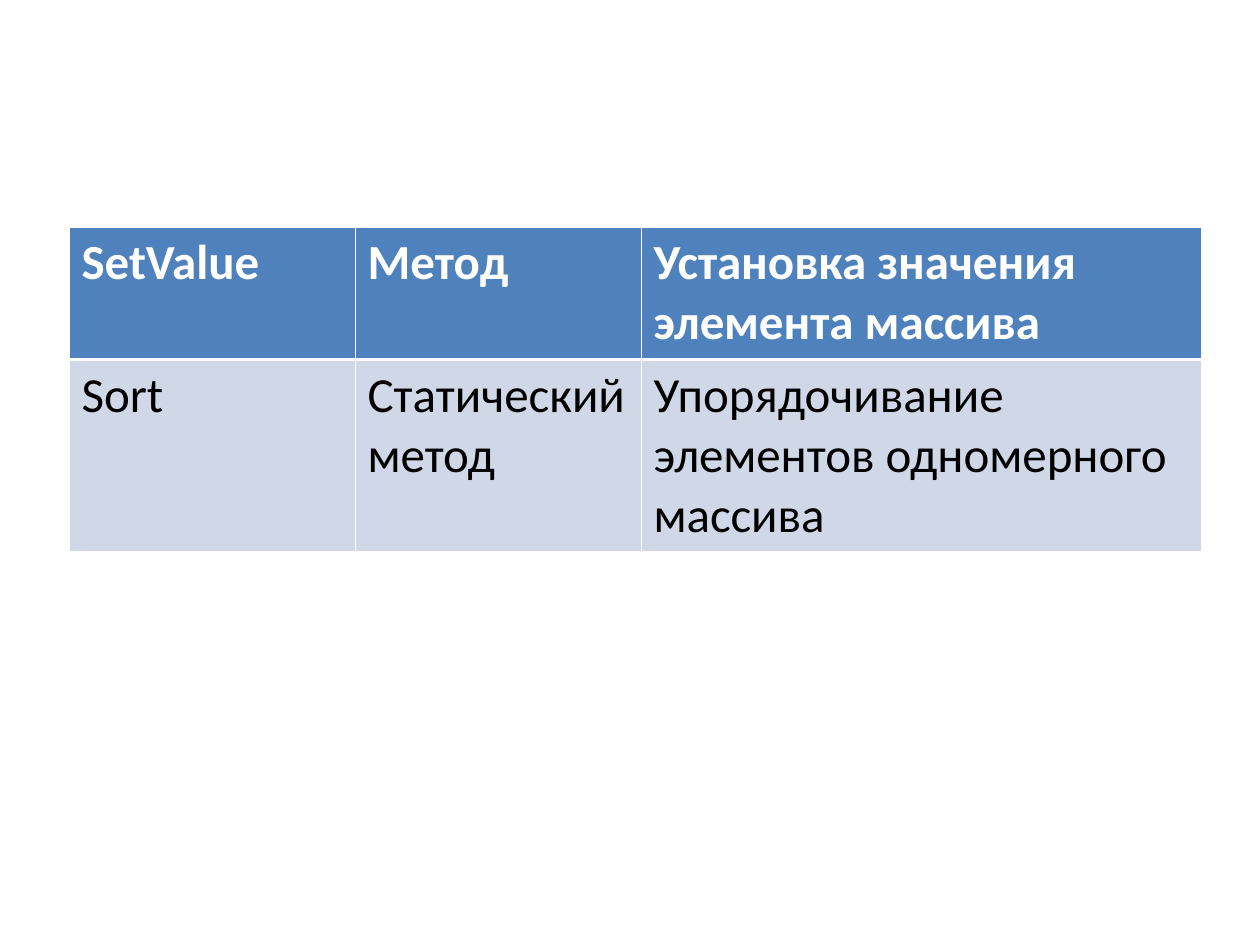
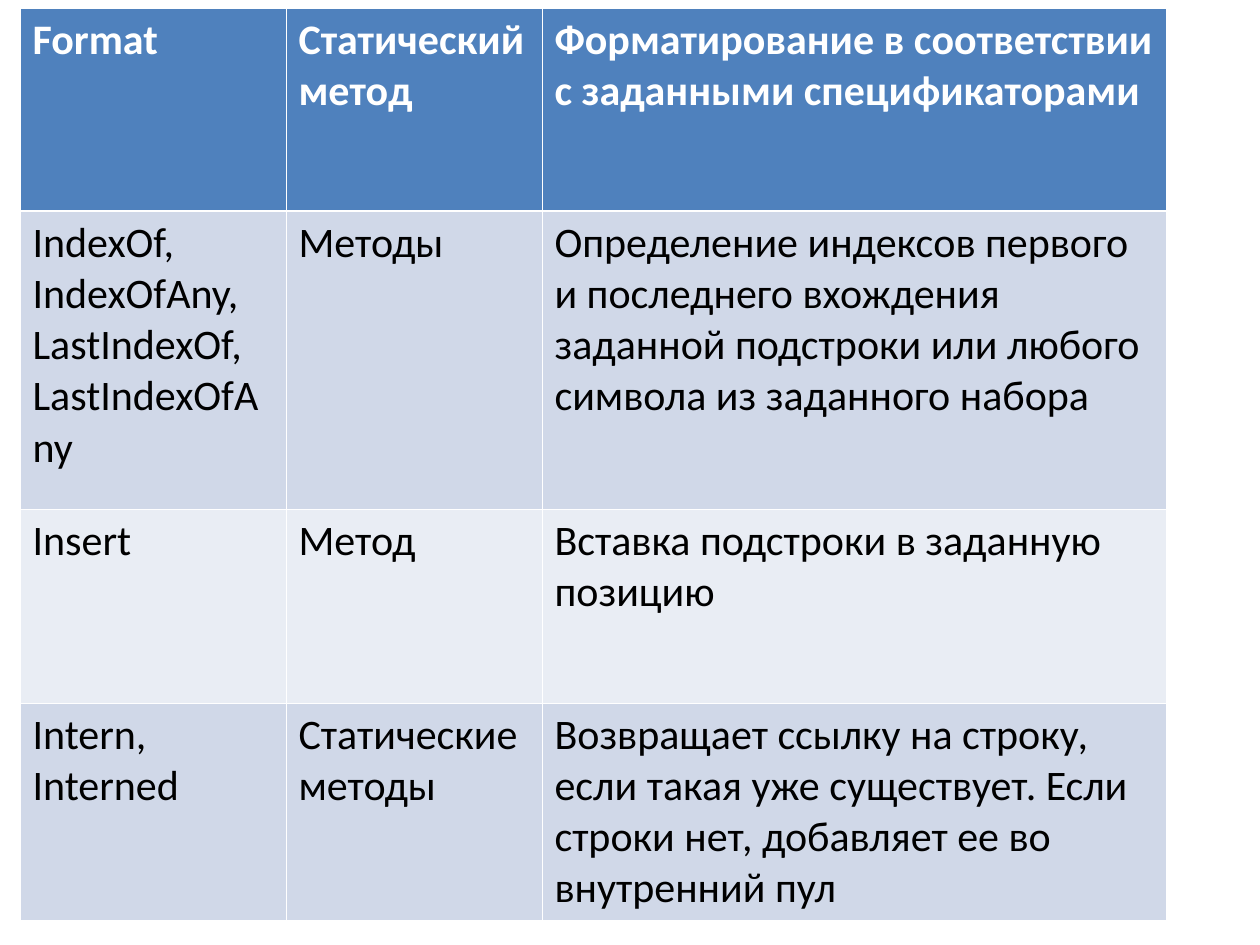
from lxml import etree
from pptx import Presentation
from pptx.dml.color import RGBColor
from pptx.oxml.ns import qn
from pptx.util import Emu, Pt

PX = 914400 / 126
BLANK = 6
FONT = "Calibri"
WHITE, BLACK, BLUE = "FFFFFF", "000000", "4F81BD"
BANDS = ("D0D8E8", "E9EDF4")
THIN, THICK = 0.45, 1.47

SORT_ROWS = [
    ("SetValue", "Метод", "Установка значения элемента массива"),
    ("Sort", "Статический метод", "Упорядочивание элементов одномерного массива"),
]
TEXT_ROWS = [
    ("Format", "Статический метод",
     "Форматирование в соответствии с заданными спецификаторами"),
    ("IndexOf, IndexOfAny, LastIndexOf, LastIndexOfAny", "Методы",
     "Определение индексов первого и последнего вхождения заданной подстроки "
     "или любого символа из заданного набора"),
    ("Insert", "Метод", "Вставка подстроки в заданную позицию"),
    ("Intern, Interned", "Статические методы",
     "Возвращает ссылку на строку, если такая уже существует. "
     "Если строки нет, добавляет ее во внутренний пул"),
]


def px(n):
    return Emu(round(n * PX))


def color(code):
    return RGBColor.from_string(code)


def add_edge(cell, side, width):
    """Draw one white border of a cell."""
    props = cell._tc.get_or_add_tcPr()
    line = etree.SubElement(props, qn("a:ln" + side), w=str(Pt(width)))
    fill = etree.SubElement(line, qn("a:solidFill"))
    etree.SubElement(fill, qn("a:srgbClr"), val=WHITE)


def style_cell(cell, text, row, size):
    head = row == 0
    # The rule under the header is thicker than the others
    edges = {"L": THIN, "R": THIN,
             "T": THICK if row == 1 else THIN,
             "B": THICK if head else THIN}
    for side, width in edges.items():
        add_edge(cell, side, width)
    cell.fill.solid()
    cell.fill.fore_color.rgb = color(BLUE if head else BANDS[(row - 1) % 2])

    # Text
    cell.text_frame.text = text
    font = cell.text_frame.paragraphs[0].runs[0].font
    font.name, font.size, font.bold = FONT, Pt(size), head
    font.color.rgb = color(WHITE if head else BLACK)


def add_grid(slide, left, top, widths, heights, rows, size):
    """Add a table with a header row and banded body rows."""
    table = slide.shapes.add_table(
        len(rows), len(widths), px(left), px(top),
        px(sum(widths)), px(sum(heights))).table
    for col, width in zip(table.columns, widths):
        col.width = px(width)
    for row, height in zip(table.rows, heights):
        row.height = px(height)
    for r, texts in enumerate(rows):
        for c, text in enumerate(texts):
            style_cell(table.cell(r, c), text, r, size)


def main():
    deck = Presentation()
    deck.slide_width, deck.slide_height = px(1260), px(945)
    layout = deck.slide_layouts[BLANK]

    # Array methods
    add_grid(deck.slides.add_slide(layout), 69, 227,
             (286, 286, 560), (131, 189), SORT_ROWS, 28)

    # String methods
    add_grid(deck.slides.add_slide(layout), 20, 8,
             (266, 256, 624), (203, 298, 194, 214), TEXT_ROWS, 24)

    deck.save("out.pptx")


if __name__ == "__main__":
    main()
